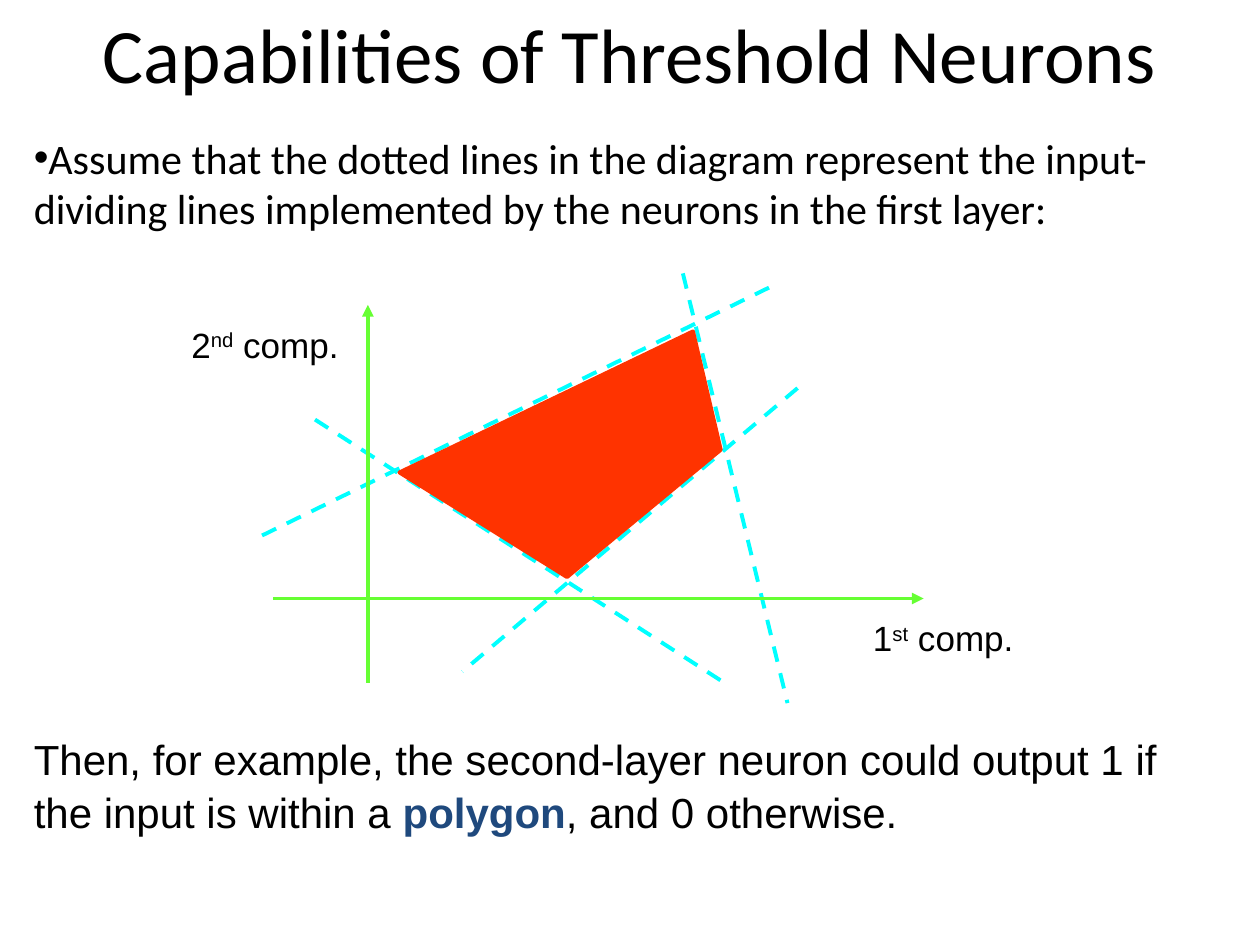
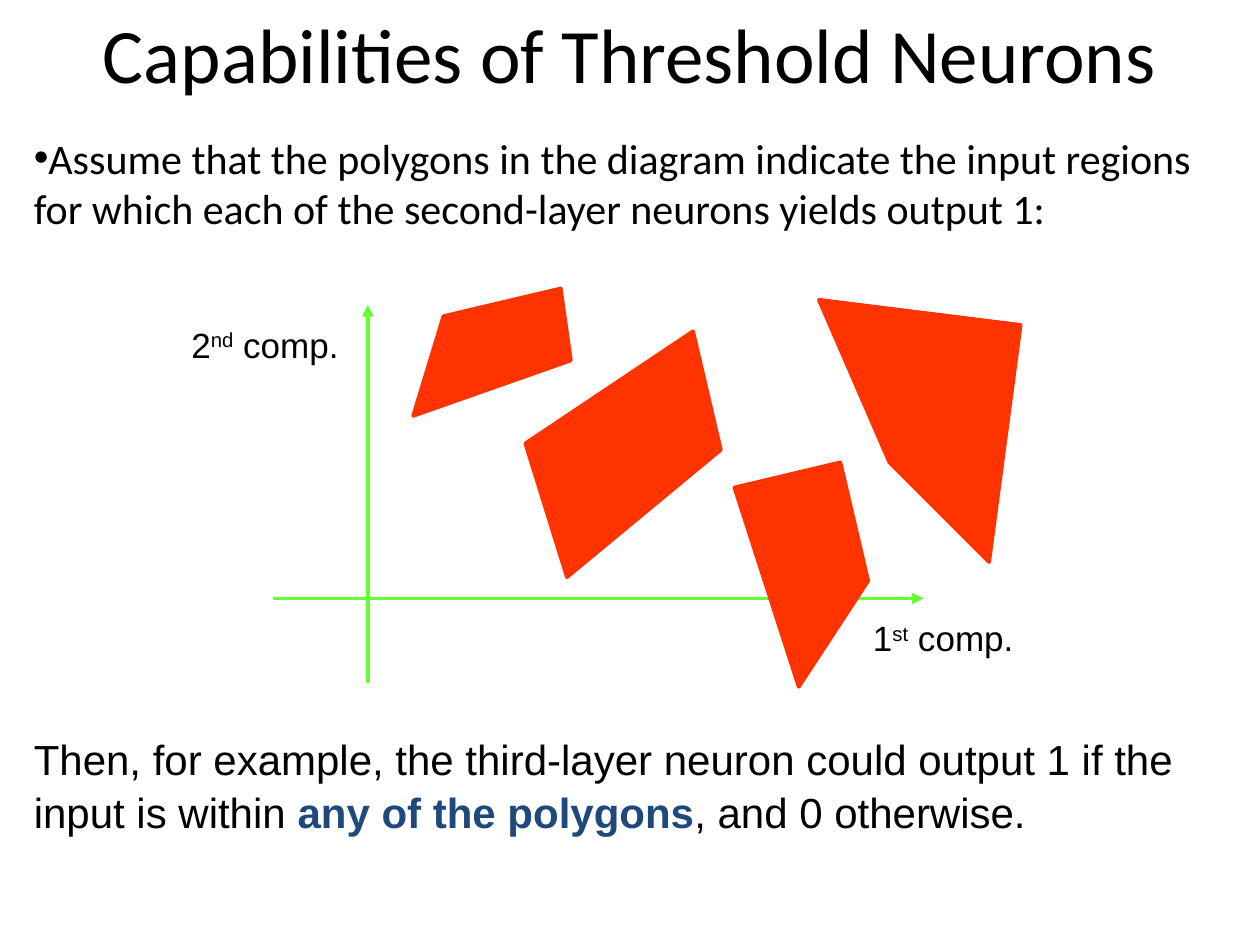
from lxml.etree import SubElement
from pptx import Presentation
from pptx.dml.color import RGBColor
from pptx.enum.dml import MSO_LINE
from pptx.enum.shapes import MSO_CONNECTOR
from pptx.enum.text import MSO_ANCHOR, PP_ALIGN
from pptx.oxml.ns import qn
from pptx.util import Inches, Pt

TITLE = "Capabilities of Threshold Neurons"
BLACK, EMPHASIS = "000000", "1F497D"
REGION, AXIS, DIVIDER = "FF3300", "66FF33", "00FFFF"
LINE_WIDTH = 2.25
DIAGRAM_BOX = (1.42, 2.17)

DIVIDING_LINES = [
    ((1.08, 1.16), (4.33, 3.25)),
    ((0.66, 2.08), (4.75, 0.08)),
    ((4, 0), (4.83, 3.41)),
    ((4.91, 0.91), (2.25, 3.16)),
]
ENCLOSED_REGION = [[(1.75, 1.58), (3.08, 2.41), (4.3, 1.4), (4.08, 0.46)]]
SECOND_LAYER_REGIONS = [
    [(2.75, 1.35), (3.08, 2.41), (4.3, 1.4), (4.08, 0.46)],
    [(5.08, 0.21), (5.64, 1.5), (6.43, 2.29), (6.68, 0.41)],
    [(2.1, 0.34), (1.86, 1.13), (3.11, 0.69), (3.03, 0.12)],
    [(4.41, 1.7), (4.92, 3.28), (5.47, 2.44), (5.25, 1.5)],
]


def color(hex_code):
    """Turn a hex string into a colour."""
    return RGBColor.from_string(hex_code)


def add_text(slide, box, runs, font="Arial", size=24, align=PP_ALIGN.LEFT,
             anchor=MSO_ANCHOR.TOP, bullet=None, spacing=1.0):
    """Write one paragraph of (text, style) runs; a style is "", "bold" or "super"."""
    frame = slide.shapes.add_textbox(*map(Inches, box)).text_frame
    frame.word_wrap = True
    frame.vertical_anchor = anchor
    paragraph = frame.paragraphs[0]
    paragraph.alignment = align
    paragraph.line_spacing = spacing
    if bullet:
        properties = paragraph._p.get_or_add_pPr()
        properties.set("marL", "0")
        properties.set("indent", "0")
        SubElement(properties, qn("a:buFont"), typeface="Arial")
        SubElement(properties, qn("a:buChar"), char=bullet)
    for text, style in runs:
        run = paragraph.add_run()
        run.text = text
        run.font.name = font
        run.font.size = Pt(size)
        run.font.bold = style == "bold"
        run.font.color.rgb = color(EMPHASIS if style == "bold" else BLACK)
        if style == "super":
            run._r.get_or_add_rPr().set("baseline", "30000")


def place(point, box):
    """Move a point of the diagram into its box on the slide."""
    return [Inches(origin + offset) for origin, offset in zip(box, point)]


def add_line(slide, box, start, end, hue, dashed=False, arrow=False):
    """Draw a straight line between two points of the diagram."""
    connector = slide.shapes.add_connector(
        MSO_CONNECTOR.STRAIGHT, *place(start, box), *place(end, box))
    connector.line.color.rgb = color(hue)
    connector.line.width = Pt(LINE_WIDTH)
    if dashed:
        connector.line.dash_style = MSO_LINE.DASH
    if arrow:
        SubElement(connector.line._get_or_add_ln(), qn("a:tailEnd"), type="triangle")
    SubElement(connector._element.spPr, qn("a:effectLst"))


def add_region(slide, box, corners):
    """Draw one filled polygon of the input space."""
    first, *others = [place(corner, box) for corner in corners]
    builder = slide.shapes.build_freeform(*first)
    builder.add_line_segments(others, close=True)
    region = builder.convert_to_shape()
    region.shadow.inherit = False
    region.fill.solid()
    region.fill.fore_color.rgb = color(REGION)
    region.line.color.rgb = color(REGION)
    region.line.width = Pt(LINE_WIDTH)


def add_axes(slide, box):
    """Draw the two component axes with their labels."""
    add_line(slide, box, (1.5, 3.25), (1.5, 0.25), AXIS, arrow=True)
    add_line(slide, box, (0.75, 2.58), (5.91, 2.58), AXIS, arrow=True)
    left, top = box
    for number, ordinal, x, y in [("1", "st", 5.41, 2.66), ("2", "nd", 0, 0.33)]:
        add_text(slide, (left + x, top + y, 1.42, 0.5),
                 [(number, ""), (ordinal, "super"), (" comp.", "")],
                 size=20, spacing=1.05)


def add_diagram(slide, box, regions, dividing_lines=()):
    """Draw dividing lines, axes and regions from back to front."""
    for start, end in dividing_lines:
        add_line(slide, box, start, end, DIVIDER, dashed=True)
    add_axes(slide, box)
    for corners in regions:
        add_region(slide, box, corners)


def add_capability_slide(deck, assumption, conclusion, regions, dividing_lines=()):
    """Add a slide with title, assumption, diagram and conclusion."""
    slide = deck.slides.add_slide(deck.slide_layouts[6])
    add_text(slide, (0, 0, 10, 0.83), [(TITLE, "")], font="Calibri", size=44,
             align=PP_ALIGN.CENTER, anchor=MSO_ANCHOR.MIDDLE)
    add_text(slide, (0.17, 1, 9.5, 1.33), [(assumption, "")],
             font="Calibri", bullet="•")
    add_diagram(slide, DIAGRAM_BOX, regions, dividing_lines)
    add_text(slide, (0.17, 5.75, 9.5, 1.08), conclusion, spacing=1.05)


def main():
    """Build and save the deck."""
    deck = Presentation()
    deck.slide_width, deck.slide_height = Inches(10), Inches(7.5)
    add_capability_slide(
        deck,
        "Assume that the dotted lines in the diagram represent the input-dividing "
        "lines implemented by the neurons in the first layer:",
        [("Then, for example, the second-layer neuron could output 1 if the input "
          "is within a ", ""), ("polygon", "bold"), (", and 0 otherwise.", "")],
        ENCLOSED_REGION, DIVIDING_LINES)
    add_capability_slide(
        deck,
        "Assume that the polygons in the diagram indicate the input regions for "
        "which each of the second-layer neurons yields output 1:",
        [("Then, for example, the third-layer neuron could output 1 if the input "
          "is within ", ""), ("any of the polygons", "bold"),
         (", and 0 otherwise.", "")],
        SECOND_LAYER_REGIONS)
    deck.save("out.pptx")


if __name__ == "__main__":
    main()
